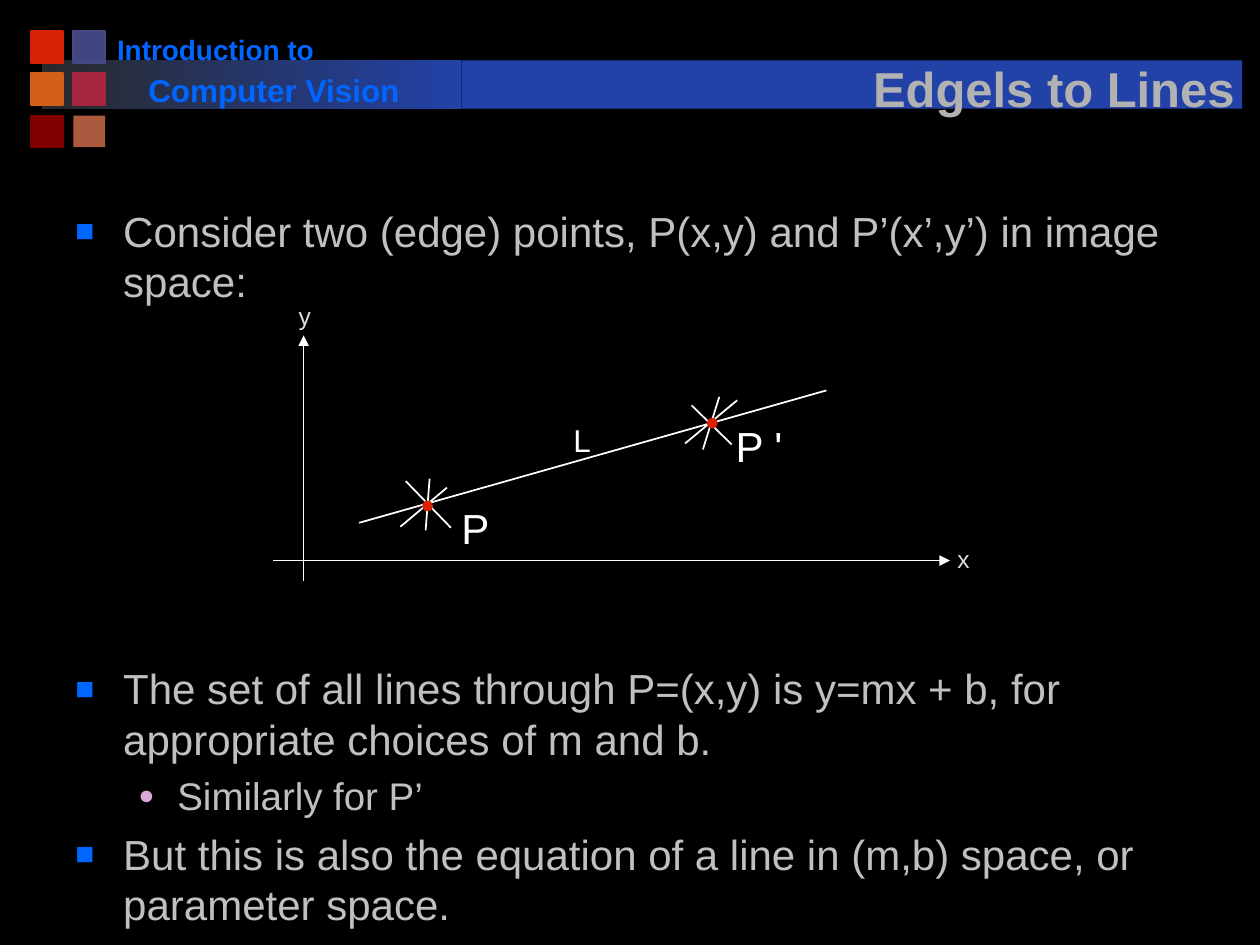
import pptx
import pptx.dml.color
import pptx.enum.shapes
import pptx.enum.text
import pptx.oxml
import pptx.oxml.ns
import pptx.util

Cm, Pt = pptx.util.Cm, pptx.util.Pt
SHAPE = pptx.enum.shapes.MSO_SHAPE
ALIGN = pptx.enum.text.PP_ALIGN
ANCHOR = pptx.enum.text.MSO_ANCHOR
NS = pptx.oxml.ns.nsdecls("a")
COLORS = {
    "background": "000000", "dark": "292929", "bar": "2242A8", "brand": "0066FF",
    "title": "B2B2B2", "body": "C0C0C0", "axis": "DDDDDD", "white": "FFFFFF",
    "dot": "D82204", "sub_bullet": "DBA9D7",
}
TILES = [
    [("D82204", "D82204"), ("424680", "454A85")],
    [("D2601A", "D2601A"), ("A5253D", "A5253D")],
    [("800000", "800000"), ("AA583E", None)],
]


def rgb(value):
    """Return the colour for a hex string."""
    return pptx.dml.color.RGBColor.from_string(value)


def add_xml(parent, xml):
    """Append an element written with the a: prefix."""
    tag, rest = xml[1:].split(" ", 1) if " " in xml else (xml[1:-2], "/>")
    parent.append(pptx.oxml.parse_xml(f"<{tag} {NS} {rest}"))


def add_shape(s, kind, x, y, w, h, fill, line=None):
    """Add a filled preset shape with an optional outline."""
    sp = s.shapes.add_shape(kind, Cm(x), Cm(y), Cm(w), Cm(h))
    sp.shadow.inherit = False
    sp.fill.solid()
    sp.fill.fore_color.rgb = rgb(fill)
    if line:
        sp.line.color.rgb = rgb(line)
        sp.line.width = Pt(1)
    else:
        sp.line.fill.background()
    return sp


def add_line(s, x1, y1, x2, y2, arrow=False):
    """Add a thin white line, with an arrowhead at its end if asked."""
    cx = s.shapes.add_connector(
        pptx.enum.shapes.MSO_CONNECTOR.STRAIGHT, Cm(x1), Cm(y1), Cm(x2), Cm(y2))
    cx.line.color.rgb = rgb(COLORS["white"])
    cx.line.width = Pt(1)
    sp_pr = cx._element.spPr
    if arrow:
        add_xml(cx.line._get_or_add_ln(), '<a:tailEnd type="triangle"/>')
    add_xml(sp_pr, "<a:effectLst/>")


def add_run(p, text, size, color, bold=False):
    """Add a run in Arial."""
    r = p.add_run()
    r.text = text
    r.font.size = Pt(size)
    r.font.bold = bold
    r.font.color.rgb = rgb(color)
    r.font.name = "Arial"
    return r


def add_frame(s, x, y, w, h, wrap=False, inset=True):
    """Add a text box and return its text frame."""
    tf = s.shapes.add_textbox(Cm(x), Cm(y), Cm(w), Cm(h)).text_frame
    tf.word_wrap = wrap
    if not inset:
        tf.margin_left = tf.margin_right = tf.margin_top = tf.margin_bottom = 0
    return tf


def add_header(s, x, y, w, h):
    """Draw the tiles, the bar, the course name and the slide title."""
    bar_y, bar_h, fade_w = y + 0.69, 0.97, 8.46
    fade = add_shape(s, SHAPE.RECTANGLE, x + 0.21, bar_y, fade_w, bar_h, COLORS["bar"])
    fade.fill.gradient()
    fade.fill.gradient_angle = 0
    for stop, name in zip(fade.fill.gradient_stops, ("dark", "bar")):
        stop.color.rgb = rgb(COLORS[name])
    bar_x = x + 0.21 + fade_w
    add_shape(s, SHAPE.RECTANGLE, bar_x, bar_y, x + w - bar_x, bar_h, COLORS["bar"])

    side, pitch = 0.64, 0.85
    for row, tiles in enumerate(TILES):
        for col, (fill, line) in enumerate(tiles):
            add_shape(s, SHAPE.RECTANGLE, x + col * pitch, y + row * pitch + 0.1,
                      side, side, fill, line)

    for text, size, dx, dy, tw, th in (
            ("Introduction to", 16, 1.48, 0, 4.5, 0.94),
            ("Computer Vision", 18, 2.11, 0.77, 6.43, 1.02)):
        tf = add_frame(s, x + dx, y + dy, tw, th)
        add_run(tf.paragraphs[0], text, size, COLORS["brand"], True)

    tf = add_frame(s, x + w - 7.72, y + 0.26, 7.85, h)
    tf.vertical_anchor = ANCHOR.BOTTOM
    p = tf.paragraphs[0]
    p.alignment = ALIGN.CENTER
    r = add_run(p, "Edgels to Lines", 28, COLORS["title"], True)
    fill = r.font._element.find(pptx.oxml.ns.qn("a:solidFill"))
    fill.addnext(pptx.oxml.parse_xml(
        f'<a:effectLst {NS}><a:outerShdw dist="35921" dir="2700000">'
        '<a:srgbClr val="000000"/></a:outerShdw></a:effectLst>'))


def add_body(s, x, y, w, h):
    """Write the bulleted text, leaving a gap for the diagram."""
    levels = [
        (24, 0.38, 0.38, "■", 75, COLORS["brand"]),
        (22, 0.81, 0.31, "●", 70, COLORS["sub_bullet"]),
    ]
    items = [
        (0, 0, "Consider two (edge) points, P(x,y) and P’(x’,y’) in image space:"),
        (0, 204, "The set of all lines through P=(x,y) is y=mx + b, "
                 "for appropriate choices of m and b."),
        (1, 5, "Similarly for P’"),
        (0, 5.5, "But this is also the equation of a line in (m,b) space, "
                 "or parameter space."),
    ]
    tf = add_frame(s, x, y, w, h, wrap=True)
    for i, (level, before, text) in enumerate(items):
        size, margin, hang, mark, scale, color = levels[level]
        p = tf.add_paragraph() if i else tf.paragraphs[0]
        p.level = level
        p.space_before = Pt(before)
        p_pr = p._p.get_or_add_pPr()
        p_pr.set("marL", str(Cm(margin * 2.54)))
        p_pr.set("indent", str(-Cm(hang * 2.54)))
        add_xml(p_pr, f'<a:buClr ><a:srgbClr val="{color}"/></a:buClr>')
        add_xml(p_pr, f'<a:buSzPct val="{scale * 1000}"/>')
        add_xml(p_pr, '<a:buFont typeface="Arial"/>')
        add_xml(p_pr, f'<a:buChar char="{mark}"/>')
        add_run(p, text, size, COLORS["body"])


def add_point(s, x, y, rays):
    """Draw an edge point with the lines that pass through it."""
    for x1, y1, x2, y2 in rays:
        add_line(s, x + x1, y + y1, x + x2, y + y2)
    d = 0.18
    add_shape(s, SHAPE.OVAL, x - d / 2, y - d / 2, d, d, COLORS["dot"], COLORS["dot"])


def add_diagram(s, x, y, w, h):
    """Draw the axes, the line L and the points P and P'."""
    add_line(s, x + 0.62, y + h, x + 0.62, y + 0.82, arrow=True)
    add_line(s, x, y + 5.36, x + w, y + 5.36, arrow=True)
    add_line(s, x + 1.74, y + 4.6, x + 11.16, y + 1.93)
    add_point(s, x + 3.12, y + 4.26, [
        (-0.04, 0.49, 0.04, -0.55), (-0.44, -0.5, 0.47, 0.44),
        (-0.55, 0.42, 0.39, -0.37)])
    add_point(s, x + 8.86, y + 2.59, [
        (-0.42, -0.36, 0.39, 0.43), (0.14, -0.53, -0.19, 0.53),
        (0.5, -0.46, -0.55, 0.41)])
    for text, size, color, dx, dy, tw, th, inset in (
            ("P", 24, "white", 3.8, 4.19, 0.56, 1.02, False),
            ("P '", 24, "white", 9.33, 2.54, 0.97, 1.02, False),
            ("L", 18, "white", 6.06, 2.54, 0.36, 0.76, False),
            ("x", 14, "axis", 13.55, 4.91, 0.76, 0.84, True),
            ("y", 14, "axis", 0.27, 0, 0.76, 0.84, True)):
        tf = add_frame(s, x + dx, y + dy, tw, th, inset=inset)
        add_run(tf.paragraphs[0], text, size, COLORS[color])


def main():
    """Build and save the slide."""
    prs = pptx.Presentation()
    prs.slide_width, prs.slide_height = Cm(25.4), Cm(19.05)
    s = prs.slides.add_slide(prs.slide_layouts[6])
    s.background.fill.solid()
    s.background.fill.fore_color.rgb = rgb(COLORS["background"])
    add_header(s, 0.63, 0.53, 24.41, 1.7)
    add_body(s, 1.27, 4.01, 22.43, 14.86)
    add_diagram(s, 5.5, 5.94, 13.65, 5.77)
    prs.save("out.pptx")


if __name__ == "__main__":
    main()
